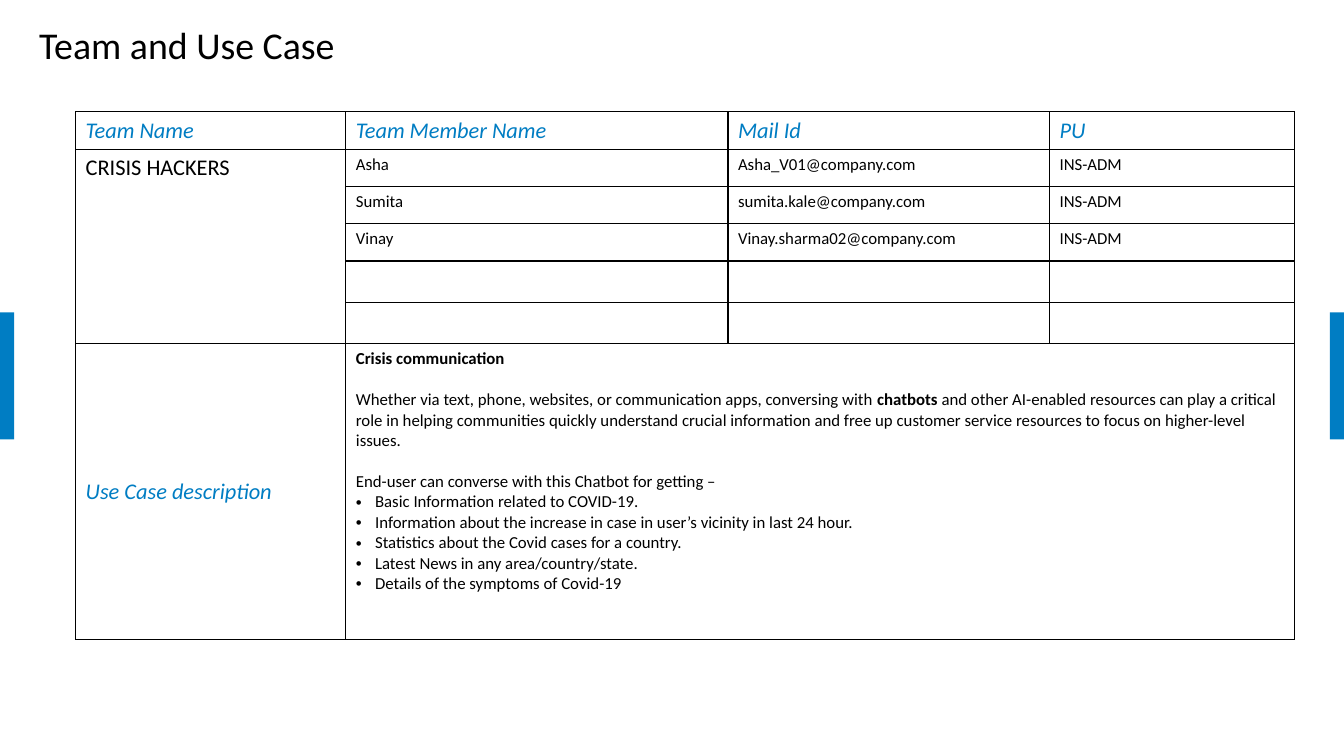
from dataclasses import dataclass

from lxml.etree import SubElement
from pptx import Presentation
from pptx.dml.color import RGBColor
from pptx.enum.shapes import MSO_SHAPE as Preset
from pptx.enum.text import MSO_ANCHOR as Anchor
from pptx.oxml.ns import qn
from pptx.slide import Slide
from pptx.table import Table, _Cell as Cell
from pptx.text.text import TextFrame, _Paragraph as Paragraph
from pptx.util import Inches, Pt

BLACK = RGBColor(0x00, 0x00, 0x00)
WHITE = RGBColor(0xFF, 0xFF, 0xFF)
BLUE = RGBColor(0x00, 0x7D, 0xC3)

FONT = "Calibri"
TITLE = {"name": FONT, "size": Pt(27)}
HEADING = {"name": FONT, "size": Pt(16), "italic": True}
TEAM = {"name": FONT, "size": Pt(16)}
BODY = {"name": FONT, "size": Pt(12), "bold": False}
STRONG = BODY | {"bold": True}

SLIDE_WIDTH = 13.33
BAR_WIDTH = 0.14
COLUMN_WIDTHS = [2.68, 3.79, 3.19, 2.43]
ROW_HEIGHTS = [0.37] * 4 + [0.41] * 2 + [2.94]
BLANK_LINE = Pt(14.65)
BULLET_INDENT = Inches(0.19)


@dataclass
class Member:
    """One person of the team."""
    name: str
    mail: str
    unit: str


@dataclass
class TextLine:
    """One paragraph as (text, format) runs, optionally spaced or bulleted."""
    runs: list[tuple[str, dict]]
    gap_before: bool = False
    bullet: bool = False


HEADERS = ["Team Name", "Team Member Name", "Mail Id", "PU"]
MEMBERS = [
    Member("Asha", "Asha_V01@company.com", "INS-ADM"),
    Member("Sumita", "sumita.kale@company.com", "INS-ADM"),
    Member("Vinay", "Vinay.sharma02@company.com", "INS-ADM"),
]
TOPICS = [
    "Basic Information related to COVID-19.",
    "Information about the increase in case in user’s vicinity in last 24 hour.",
    "Statistics about the Covid cases for a country.",
    "Latest News in any area/country/state.",
    "Details of the symptoms of Covid-19",
]
DESCRIPTION = [
    TextLine([("Crisis communication", STRONG)]),
    TextLine([
        ("Whether via text, phone, websites, or communication apps, conversing with ", BODY),
        ("chatbots", STRONG),
        (" and other AI-enabled resources can play a critical role in helping communities "
         "quickly understand crucial information and free up customer service resources "
         "to focus on higher-level issues.", BODY),
    ], gap_before=True),
    TextLine([("End-user can converse with this Chatbot for getting – ", BODY)], gap_before=True),
    *(TextLine([(topic, BODY)], bullet=True) for topic in TOPICS),
]


def add_run(paragraph: Paragraph, text: str, style: dict, color: RGBColor = BLACK) -> None:
    """Append a formatted run to a paragraph."""
    run = paragraph.add_run()
    run.text = text
    for attribute, value in style.items():
        setattr(run.font, attribute, value)
    run.font.color.rgb = color


def add_bullet(paragraph: Paragraph) -> None:
    """Give a paragraph a round bullet with a hanging indent."""
    properties = paragraph._p.get_or_add_pPr()
    properties.set("marL", str(BULLET_INDENT))
    properties.set("indent", str(-BULLET_INDENT))
    SubElement(properties, qn("a:buFont"), typeface="Arial")
    SubElement(properties, qn("a:buChar"), char="•")


def write_lines(frame: TextFrame, lines: list[TextLine]) -> None:
    """Fill a text frame with one paragraph per line."""
    for index, line in enumerate(lines):
        paragraph = frame.add_paragraph() if index else frame.paragraphs[0]
        if line.gap_before:
            paragraph.space_before = BLANK_LINE
        if line.bullet:
            add_bullet(paragraph)
        for text, style in line.runs:
            add_run(paragraph, text, style)


def write_cell(cell: Cell, text: str, style: dict, color: RGBColor = BLACK) -> None:
    """Write a single run into a cell."""
    add_run(cell.text_frame.paragraphs[0], text, style, color)


def format_cell(cell: Cell) -> None:
    """Give a cell thin black borders and a white fill."""
    properties = cell._tc.get_or_add_tcPr()
    for side in ("a:lnL", "a:lnR", "a:lnT", "a:lnB"):
        border = SubElement(properties, qn(side), w=str(Pt(1)))
        fill = SubElement(border, qn("a:solidFill"))
        SubElement(fill, qn("a:srgbClr"), val=str(BLACK))
    cell.fill.solid()
    cell.fill.fore_color.rgb = WHITE


def add_side_bar(slide: Slide, left: float) -> None:
    """Draw a blue bar at a slide edge."""
    bar = slide.shapes.add_shape(
        Preset.RECTANGLE, Inches(left), Inches(3.1), Inches(BAR_WIDTH), Inches(1.26))
    bar.shadow.inherit = False
    bar.fill.solid()
    bar.fill.fore_color.rgb = BLUE
    bar.line.fill.background()


def add_title(slide: Slide, text: str) -> None:
    """Add the slide heading."""
    box = slide.shapes.add_textbox(Inches(0.29), Inches(0.22), Inches(12.72), Inches(0.66))
    box.text_frame.word_wrap = True
    paragraph = box.text_frame.paragraphs[0]
    paragraph.line_spacing = 0.9
    add_run(paragraph, text, TITLE)


def add_grid(slide: Slide) -> Table:
    """Add the bordered, merged and still empty table."""
    table = slide.shapes.add_table(
        len(ROW_HEIGHTS), len(COLUMN_WIDTHS), Inches(0.75), Inches(1.11),
        Inches(sum(COLUMN_WIDTHS)), Inches(sum(ROW_HEIGHTS))).table
    table.first_row = table.horz_banding = False
    for column, width in zip(table.columns, COLUMN_WIDTHS):
        column.width = Inches(width)
    for row, height in zip(table.rows, ROW_HEIGHTS):
        row.height = Inches(height)
    for cell in table.iter_cells():
        format_cell(cell)
    table.cell(1, 0).merge(table.cell(5, 0))
    table.cell(6, 1).merge(table.cell(6, 3))
    return table


def fill_table(table: Table) -> None:
    """Write the team and the use case into the table."""
    for column, header in enumerate(HEADERS):
        write_cell(table.cell(0, column), header, HEADING, BLUE)
    write_cell(table.cell(1, 0), "CRISIS HACKERS", TEAM)
    for row, member in enumerate(MEMBERS, start=1):
        for column, text in enumerate((member.name, member.mail, member.unit), start=1):
            write_cell(table.cell(row, column), text, BODY)
    use_case = table.cell(6, 0)
    use_case.vertical_anchor = Anchor.MIDDLE
    write_cell(use_case, "Use Case description", HEADING, BLUE)
    write_lines(table.cell(6, 1).text_frame, DESCRIPTION)


presentation = Presentation()
presentation.slide_width = Inches(SLIDE_WIDTH)
presentation.slide_height = Inches(7.5)
slide = presentation.slides.add_slide(presentation.slide_layouts[6])
for bar_left in (SLIDE_WIDTH - BAR_WIDTH, 0):
    add_side_bar(slide, bar_left)
add_title(slide, "Team and Use Case")
fill_table(add_grid(slide))
presentation.save("out.pptx")
